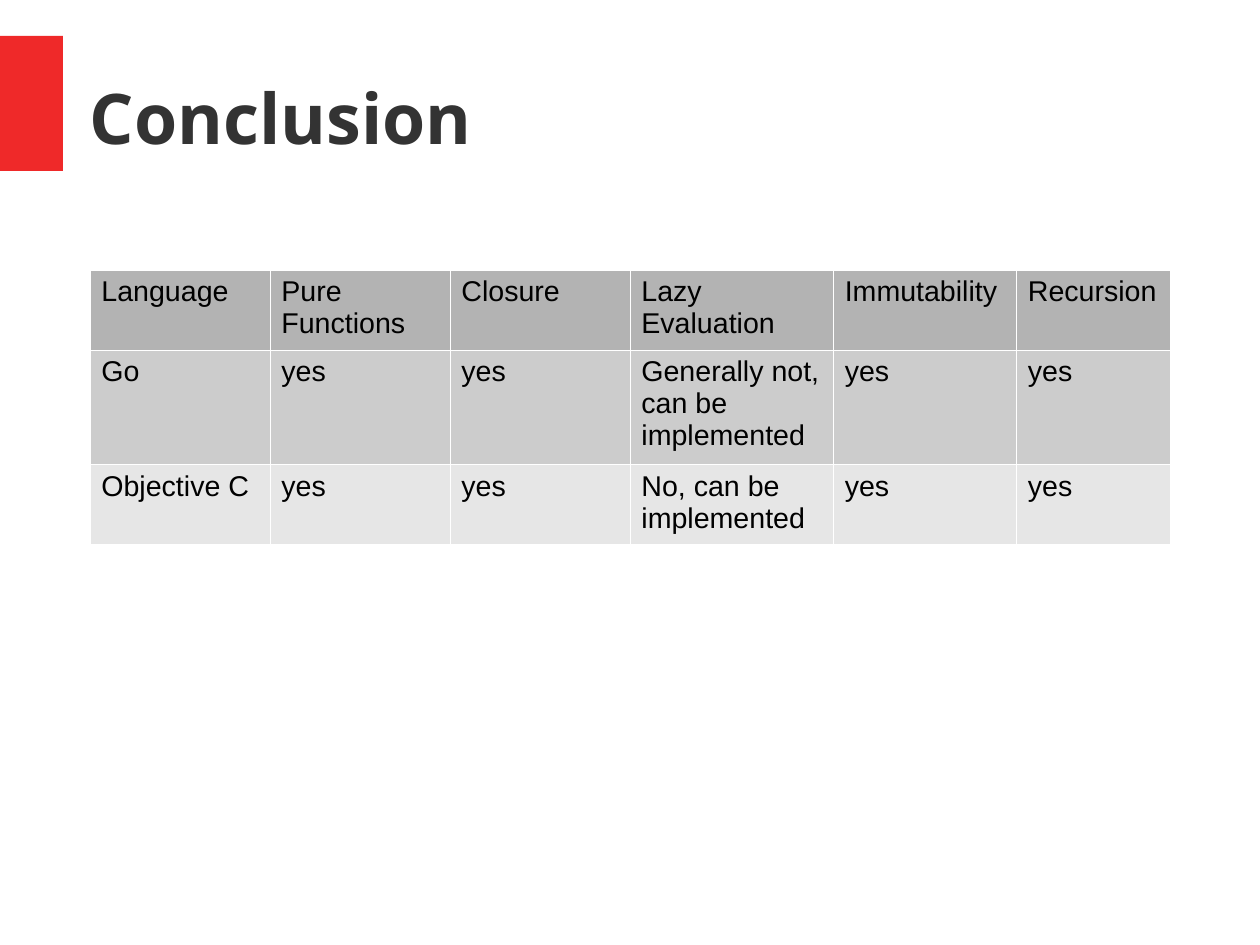
from typing import NamedTuple

from lxml import etree
from pptx import Presentation
from pptx import util as u
from pptx.dml.color import RGBColor
from pptx.enum import shapes, text
from pptx.oxml.ns import qn

COLORS = {
    "accent": "EF2929",
    "title": "333333",
    "cell_text": "000000",
    "border": "FFFFFF",
    "header": "B3B3B3",
    "go": "CCCCCC",
    "objective_c": "E6E6E6",
}
COLUMN_WIDTHS = (4, 4, 4, 4.52, 4.07, 3.41)
BORDER_WIDTH = u.Pt(0.06)


class LanguageRow(NamedTuple):
    cells: tuple[str, ...]
    fill: str
    height: float


ROWS = (
    LanguageRow(
        ("Language", "Pure Functions", "Closure", "Lazy Evaluation", "Immutability", "Recursion"),
        "header", 1.67,
    ),
    LanguageRow(
        ("Go", "yes", "yes", "Generally not, can be implemented", "yes", "yes"),
        "go", 2.39,
    ),
    LanguageRow(
        ("Objective C", "yes", "yes", "No, can be implemented", "yes", "yes"),
        "objective_c", 1.67,
    ),
)


def rgb(name: str) -> RGBColor:
    return RGBColor.from_string(COLORS[name])


def write_text(frame, content: str, *, font: str, size: float, color: str, bold: bool = False) -> None:
    run = frame.paragraphs[0].add_run()
    run.text = content
    run.font.name = font
    run.font.size = u.Pt(size)
    run.font.bold = bold
    run.font.color.rgb = rgb(color)


def draw_accent(slide) -> None:
    accent = slide.shapes.add_shape(
        shapes.MSO_SHAPE.RECTANGLE, u.Cm(0), u.Cm(0.8), u.Cm(1.4), u.Cm(3)
    )
    accent.shadow.inherit = False
    accent.fill.solid()
    accent.fill.fore_color.rgb = rgb("accent")
    accent.line.fill.background()


def draw_title(slide) -> None:
    title = slide.shapes.add_textbox(u.Cm(2), u.Cm(0.85), u.Cm(24.6), u.Cm(3.5))
    frame = title.text_frame
    frame.word_wrap = True
    frame.vertical_anchor = text.MSO_ANCHOR.MIDDLE
    frame.margin_left = frame.margin_right = frame.margin_top = frame.margin_bottom = 0
    write_text(frame, "Conclusion", font="Noto Sans", size=44, color="title", bold=True)


def add_borders(cell) -> None:
    properties = cell._tc.get_or_add_tcPr()
    for position, side in enumerate(("lnL", "lnR", "lnT", "lnB")):
        line = etree.Element(qn(f"a:{side}"), w=str(BORDER_WIDTH))
        fill = etree.SubElement(line, qn("a:solidFill"))
        etree.SubElement(fill, qn("a:srgbClr"), val=COLORS["border"])
        properties.insert(position, line)


def draw_table(slide, rows: tuple[LanguageRow, ...]) -> None:
    table = slide.shapes.add_table(
        len(rows), len(COLUMN_WIDTHS), u.Cm(2), u.Cm(6),
        u.Cm(sum(COLUMN_WIDTHS)), u.Cm(sum(row.height for row in rows)),
    ).table
    table.first_row = False
    table.horz_banding = False
    for column, width in zip(table.columns, COLUMN_WIDTHS):
        column.width = u.Cm(width)
    for table_row, row in zip(table.rows, rows):
        table_row.height = u.Cm(row.height)
        for cell, content in zip(table_row.cells, row.cells):
            cell.fill.solid()
            cell.fill.fore_color.rgb = rgb(row.fill)
            add_borders(cell)
            write_text(cell.text_frame, content, font="Arial", size=18, color="cell_text")


presentation = Presentation()
presentation.slide_width = u.Cm(28)
presentation.slide_height = u.Cm(21)
slide = presentation.slides.add_slide(presentation.slide_layouts[6])
draw_accent(slide)
draw_title(slide)
draw_table(slide, ROWS)
presentation.save("out.pptx")
